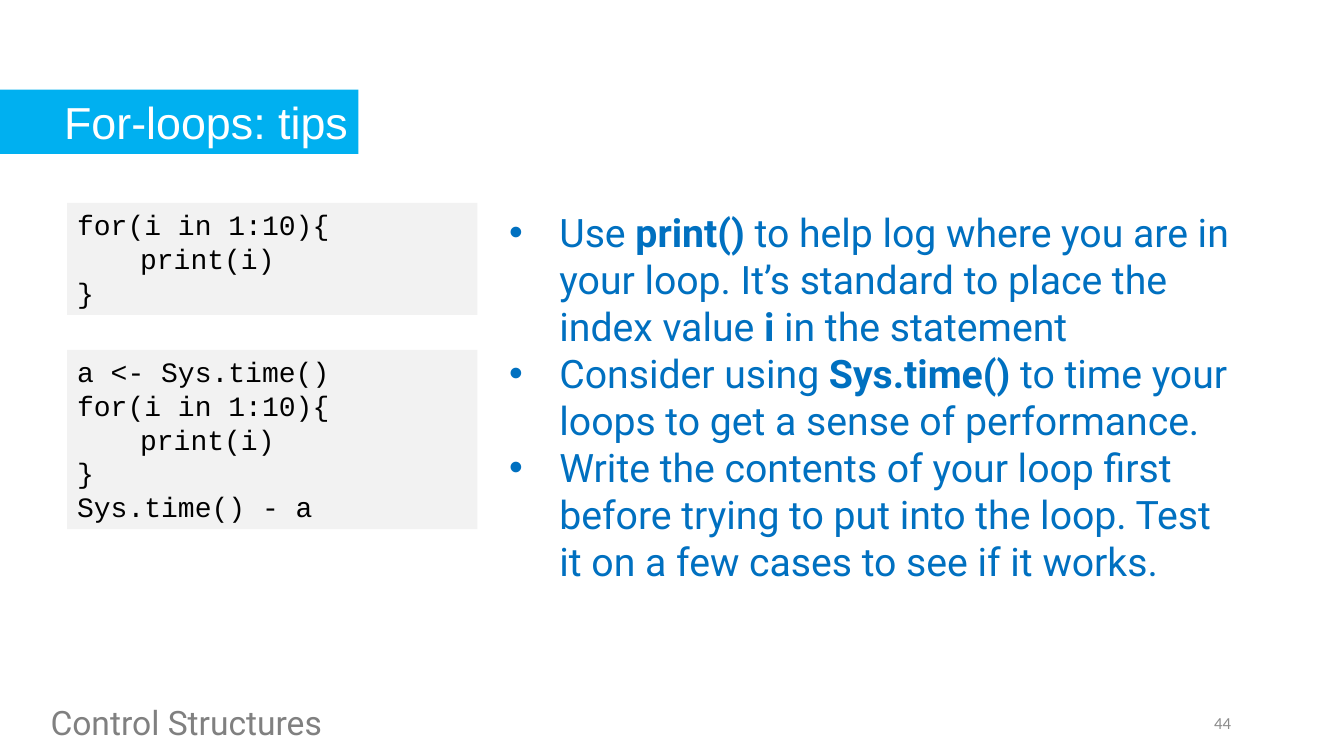
from lxml import etree
from pptx import Presentation
from pptx.dml.color import RGBColor
from pptx.enum.shapes import MSO_SHAPE
from pptx.enum.text import MSO_ANCHOR, MSO_AUTO_SIZE, PP_ALIGN
from pptx.oxml.ns import qn
from pptx.util import Pt

RECT = MSO_SHAPE.RECTANGLE
TOP, MIDDLE = MSO_ANCHOR.TOP, MSO_ANCHOR.MIDDLE
LEFT, RIGHT = PP_ALIGN.LEFT, PP_ALIGN.RIGHT
FIXED = MSO_AUTO_SIZE.NONE

HEAD = {"name": "Arial", "size": Pt(32), "color": "FFFFFF"}
CODE = {"name": "Courier New", "size": Pt(20), "color": "000000"}
TIP = {"name": "Roboto", "size": Pt(28), "color": "0070C0"}
FOOT = {"name": "Roboto", "size": Pt(24), "color": "808080"}
PAGE = {"name": "Calibri", "size": Pt(12), "color": "8C8C8C"}

LOOP = ["for(i in 1:10){", "\tprint(i)", "}"]
TIMED = ["a <- Sys.time()", *LOOP, "Sys.time() - a"]
# Every second piece of a tip is bold.
TIPS = [
    ["Use ", "print() ", "to help log where you are in your loop. "
     "It’s standard to place the index value ", "i", " in the statement"],
    ["Consider using ", "Sys.time() ",
     "to time your loops to get a sense of performance."],
    ["Write the contents of your loop first before trying to put into "
     "the loop. Test it on a few cases to see if it works."],
]


def paint(fill, color):
    fill.solid()
    fill.fore_color.rgb = RGBColor.from_string(color)


def style(font, form):
    for key, value in form.items():
        if key == "color":
            paint(font.fill, value)
        else:
            setattr(font, key, value)


def hang(para, depth, bullet=None):
    """Set a hanging indent in points, with an optional bullet."""
    props = para._p.get_or_add_pPr()
    props.set("marL", str(Pt(depth)))
    props.set("indent", str(-Pt(depth)))
    if bullet:
        etree.SubElement(props, qn("a:buFont")).set("typeface", "Arial")
        etree.SubElement(props, qn("a:buChar")).set("char", bullet)


def write(shape, paras, form, align=LEFT, anchor=TOP, depth=0, bullet=None):
    """Fill a shape with paragraphs, each a list of plain and bold pieces."""
    frame = shape.text_frame
    frame.word_wrap = True
    frame.auto_size = FIXED
    frame.vertical_anchor = anchor
    for i, parts in enumerate(paras):
        para = frame.add_paragraph() if i else frame.paragraphs[0]
        para.alignment = align
        if depth:
            hang(para, depth, bullet)
        for j, part in enumerate(parts):
            run = para.add_run()
            run.text = part
            style(run.font, {**form, "bold": j % 2 == 1})


def add_text(slide, box, paras, form, **rest):
    write(slide.shapes.add_textbox(*map(Pt, box)), paras, form, **rest)


def add_head(slide, box, text):
    title = slide.shapes.title
    title.left, title.top, title.width, title.height = map(Pt, box)
    paint(title.fill, "00B0F0")
    write(title, [[text]], HEAD, align=RIGHT, anchor=MIDDLE)


def add_code(slide, box, lines):
    panel = slide.shapes.add_shape(RECT, *map(Pt, box))
    panel.shadow.inherit = False
    paint(panel.fill, "F2F2F2")
    panel.line.fill.background()
    write(panel, [[line] for line in lines], CODE, depth=45)


def add_foot(slide, box, text, page):
    left, top, width, height = box
    add_text(slide, (left, top, 705, height), [[text]], FOOT)
    add_text(slide, (left + width - 216, top + 4, 216, 29), [[page]], PAGE,
             align=RIGHT, anchor=MIDDLE)


def main():
    deck = Presentation()
    deck.slide_width, deck.slide_height = Pt(960), Pt(540)
    slide = deck.slides.add_slide(deck.slide_layouts[5])
    add_head(slide, (0, 64, 256, 46), "For-loops: tips")
    add_code(slide, (48, 145, 293, 80), LOOP)
    add_code(slide, (48, 250, 293, 128), TIMED)
    add_text(slide, (356.5, 145, 530, 279), TIPS, TIP, depth=36, bullet="•")
    add_foot(slide, (29, 497.5, 857.5, 36), "Control Structures", "44")
    deck.save("out.pptx")


if __name__ == "__main__":
    main()
